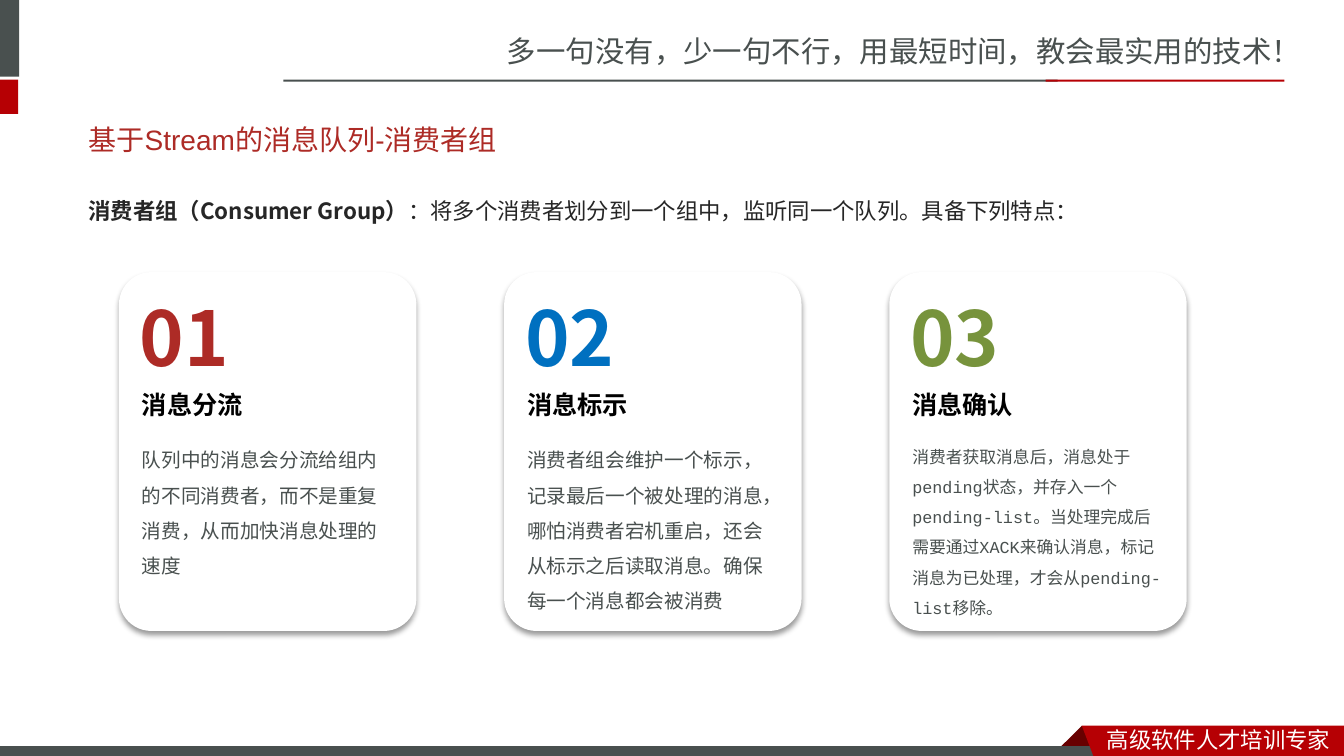
import pptx
import pptx.dml.color
import pptx.enum.shapes
import pptx.enum.text
import pptx.oxml
import pptx.oxml.ns
import pptx.util
from lxml import etree

Inches = pptx.util.Inches
Pt = pptx.util.Pt
SHAPE = pptx.enum.shapes.MSO_SHAPE
ANCHOR = pptx.enum.text.MSO_ANCHOR

# Content
SLOGAN = "多一句没有，少一句不行，用最短时间，教会最实用的技术！"
TAGLINE = "高级软件人才培训专家"
TITLE = "基于Stream的消息队列-消费者组"
TERM = "消费者组（Consumer Group）"
DEFINITION = "：将多个消费者划分到一个组中，监听同一个队列。具备下列特点："
FEATURES = [
    # number, colour, heading, detail, detail size, detail width
    ("01", "AD2B26", "消息分流",
     "队列中的消息会分流给组内的不同消费者，而不是重复消费，从而加快消息处理的速度", 14, 2.57),
    ("02", "0070C0", "消息标示",
     "消费者组会维护一个标示，记录最后一个被处理的消息，哪怕消费者宕机重启，"
     "还会从标示之后读取消息。确保每一个消息都会被消费", 14, 2.57),
    ("03", "77933C", "消息确认",
     "消费者获取消息后，消息处于pending状态，并存入一个pending-list。当处理完成后"
     "需要通过XACK来确认消息，标记消息为已处理，才会从pending-list移除。", 12, 2.7),
]

# Style
GREY, RED, DARK_RED = "49504F", "B60004", "680000"
TITLE_RED, INK, BLACK, WHITE = "AD2B26", "262626", "000000", "FFFFFF"
SANS, SANS_JP, MONO, LATIN = "Noto Sans CJK SC", "Noto Sans CJK JP", "Courier New", "Arial"
SINGLE, LOOSE = 1.21, 1.8  # line pitch per point of text size

# Frame bars: left, top, width, height, fill, outlined
BASE_EDGE = (-0.01, 7.45, 13.3, 0.08, WHITE, True)
HEADER_BARS = [
    (-0.06, 0, 0.25, 0.76, GREY, False),
    (-0.06, 0.79, 0.24, 0.34, RED, False),
    (2.81, 0.79, 7.68, 0.02, GREY, False),
    (10.37, 0.79, 2.37, 0.02, RED, False),
]
BASE_BAR = (-0.01, 7.41, 10.96, 0.09, GREY, True)
RIBBON_FOLD = [(10.73, 7.2), (10.95, 7.42), (10.94, 7.43), (10.52, 7.43), (10.51, 7.42)]
RIBBON = [(10.73, 7.2), (13.33, 7.2), (13.33, 7.54), (10.86, 7.54)]

CARD_LEFT, CARD_TOP, CARD_W, CARD_H, CARD_PITCH = 1.18, 2.7, 2.95, 3.56, 3.82


def rgb(value):
    return pptx.dml.color.RGBColor.from_string(value)


def paint(shape, fill, outlined=False):
    shape.shadow.inherit = False
    shape.fill.solid()
    shape.fill.fore_color.rgb = rgb(fill)
    if outlined:
        shape.line.color.rgb = rgb(fill)
        shape.line.width = Pt(0.75)
    else:
        shape.line.fill.background()


def add_bar(shapes, left, top, width, height, fill, outlined):
    bar = shapes.add_shape(SHAPE.RECTANGLE, Inches(left), Inches(top),
                           Inches(width), Inches(height))
    paint(bar, fill, outlined)


def add_outline(shapes, corners, fill):
    points = [(Inches(x), Inches(y)) for x, y in corners]
    builder = shapes.build_freeform(*points[0])
    builder.add_line_segments(points[1:], close=True)
    paint(builder.convert_to_shape(), fill)


def add_text(shapes, box, runs, size, font, color, pitch=SINGLE, anchor=ANCHOR.TOP):
    """runs is a list of (text, bold)."""
    frame = shapes.add_textbox(*map(Inches, box)).text_frame
    frame.word_wrap = True
    frame.vertical_anchor = anchor
    paragraph = frame.paragraphs[0]
    paragraph.line_spacing = Pt(round(size * pitch, 1))
    for text, bold in runs:
        run = paragraph.add_run()
        run.text = text
        run.font.size = Pt(size)
        run.font.bold = bold
        run.font.name = font
        run.font.color.rgb = rgb(color)
        # Typeface of the Chinese characters
        east_asian = etree.SubElement(run.font._element, pptx.oxml.ns.qn("a:ea"))
        east_asian.set("typeface", font if font == SANS_JP else SANS)


def add_soft_shadow(shape):
    effects = shape._element.spPr.find(pptx.oxml.ns.qn("a:effectLst"))
    effects.append(pptx.oxml.parse_xml(
        f'<a:outerShdw {pptx.oxml.ns.nsdecls("a")} blurRad="{Pt(4)}" dist="{Pt(3)}" '
        'dir="5400000" algn="t" rotWithShape="0">'
        '<a:srgbClr val="000000"><a:alpha val="40000"/></a:srgbClr></a:outerShdw>'))


def add_card(slide, left, number, color, heading, detail, detail_size, detail_width):
    parts = slide.shapes.add_group_shape().shapes
    card = parts.add_shape(SHAPE.ROUNDED_RECTANGLE, Inches(left), Inches(CARD_TOP),
                           Inches(CARD_W), Inches(CARD_H))
    card.adjustments[0] = 0.109
    paint(card, WHITE)
    add_soft_shadow(card)
    add_text(parts, (left + 0.13, CARD_TOP + 1.58, detail_width, 1.85),
             [(detail, False)], detail_size, MONO, GREY, LOOSE)
    add_text(parts, (left + 0.13, CARD_TOP + 1.11, 2.57, 0.4),
             [(heading, True)], 18, MONO, BLACK)
    add_text(parts, (left + 0.11, CARD_TOP + 0.13, 1.3, 1.01),
             [(number, True)], 54, SANS_JP, color)


def main():
    deck = pptx.Presentation()
    deck.slide_width, deck.slide_height = Inches(13.33), Inches(7.5)
    slide = deck.slides.add_slide(deck.slide_layouts[6])
    shapes = slide.shapes

    # Header
    add_bar(shapes, *BASE_EDGE)
    add_text(shapes, (4.93, 0.28, 8.41, 0.47), [(SLOGAN, False)], 21, SANS, GREY)
    for bar in HEADER_BARS:
        add_bar(shapes, *bar)

    # Footer ribbon
    add_outline(shapes, RIBBON_FOLD, DARK_RED)
    add_bar(shapes, *BASE_BAR)
    add_outline(shapes, RIBBON, RED)
    add_text(shapes, (10.88, 7.15, 2.45, 0.37), [(TAGLINE, False)], 16, SANS, WHITE)

    # Definition and title
    add_text(shapes, (0.78, 1.77, 11.7, 0.6), [(TERM, True), (DEFINITION, False)],
             16, SANS_JP, INK, LOOSE)
    add_text(shapes, (0.78, 1.16, 11.7, 0.44), [(TITLE, False)], 20, LATIN, TITLE_RED,
             anchor=ANCHOR.MIDDLE)

    # Feature cards
    for index, feature in enumerate(FEATURES):
        add_card(slide, CARD_LEFT + index * CARD_PITCH, *feature)

    deck.save("out.pptx")


if __name__ == "__main__":
    main()
